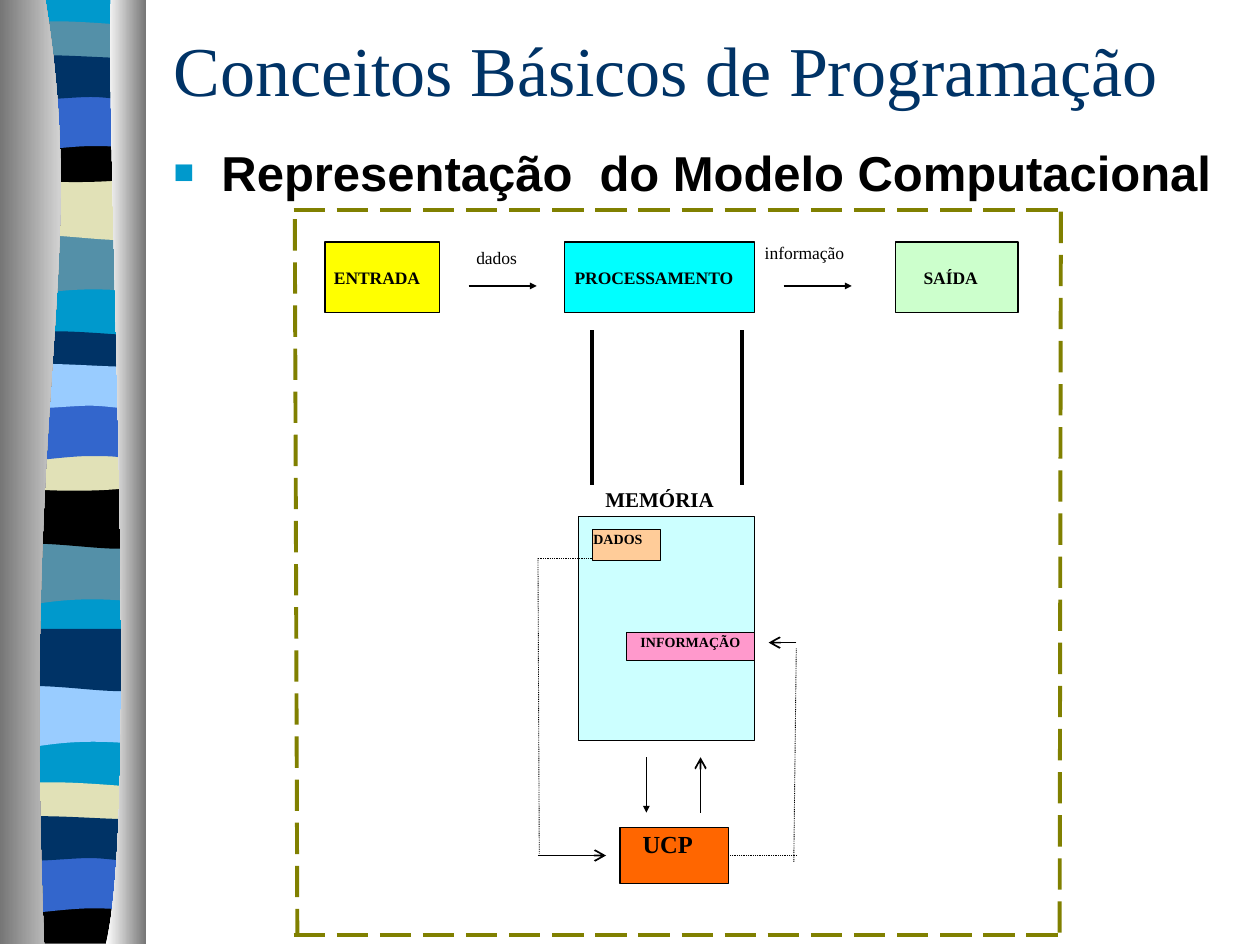
import pptx
import pptx.dml.color
import pptx.enum.dml
import pptx.enum.shapes
import pptx.enum.text
import pptx.oxml
import pptx.oxml.ns
import pptx.util
from lxml import etree

Inches, Pt = pptx.util.Inches, pptx.util.Pt
ALIGN = pptx.enum.text.PP_ALIGN
ANCHOR = pptx.enum.text.MSO_ANCHOR
DASH = pptx.enum.dml.MSO_LINE
SERIF = "Times New Roman"

# Stripe outlines: a start point, then segments of one point (line) or three (curve)
BASE = [(1.08, 0), [(1.08, 7.47)], [(0, 7.47)], [(0, 0)]]
SWELL = [(1.08, 0), [(1.08, 0.47)], [(0.33, 0.39), (0.18, 0.55), (0, 0.47)], [(0, 0)]]
DIP = [(1.08, 0), [(1.08, 0.47)], [(0.9, 0.55), (0.33, 0.41), (0, 0.47)], [(0, 0)]]
THIN = [(1.08, 0.05), [(1.08, 0.29)], [(0.9, 0.33), (0.18, 0.33), (0, 0.29)],
        [(0, 0.05)], [(0.06, 0), (0.23, 0.01), (0.41, 0.01)],
        [(0.59, 0.01), (0.94, 0.04), (1.08, 0.05)]]
BOWL = [(1.08, 0), [(1.08, 0.32)], [(0.9, 0.38), (0.18, 0.38), (0, 0.32)],
        [(0, 0)], [(0.66, 0.05), (0.85, 0), (1.08, 0)]]
ARCH = [(1.08, 0), [(1.08, 0.47)], [(0.91, 0.42), (0.84, 0.42), (0.66, 0.42)],
        [(0.48, 0.42), (0.16, 0.47), (0, 0.47)], [(0, 0)]]
RIPPLE = [(1.08, 0.05), [(1.08, 0.36)], [(1.01, 0.41), (0.84, 0.36), (0.66, 0.36)],
          [(0.48, 0.36), (0.11, 0.41), (0, 0.36)], [(0, 0.05)],
          [(0.15, 0), (0.73, 0.05), (0.91, 0.05)],
          [(1.09, 0.05), (1.04, 0.05), (1.08, 0.05)]]
FOOT = [(1.08, 0), [(1.08, 0.37)], [(0, 0.37)], [(0, 0)],
        [(0.66, 0.05), (0.85, 0), (1.08, 0)]]

STRIPES = [  # outline, left, top, colour
    (BASE, 0.06, 0, "0099CC"),
    (SWELL, 0.06, 1.85, "5490A8"),
    (DIP, 0.06, 1.41, "E1E1B7"),
    (THIN, 0.06, 0.16, "5490A8"),
    (BOWL, 0.06, 1.08, "000000"),
    (ARCH, 0.06, 0.74, "3366CC"),
    (RIPPLE, 0.06, 0.41, "003366"),
    (SWELL, 0.05, 4.31, "5490A8"),
    (DIP, 0.05, 3.86, "000000"),
    (THIN, 0.05, 2.62, "003366"),
    (BOWL, 0.05, 3.53, "E1E1B7"),
    (ARCH, 0.05, 3.2, "3366CC"),
    (RIPPLE, 0.05, 2.86, "99CCFF"),
    (SWELL, 0.06, 5.44, "99CCFF"),
    (DIP, 0.06, 4.99, "003366"),
    (THIN, 0.05, 6.2, "E1E1B7"),
    (FOOT, 0.05, 7.12, "000000"),
    (ARCH, 0.05, 6.79, "3366CC"),
    (RIPPLE, 0.05, 6.45, "003366"),
]
LEFT_COLUMN = [(0.36, 0), [(0.71, 2.16), (0.17, 2.96), (0.35, 7.49)],
               [(0, 7.49)], [(0, 0)]]
RIGHT_COLUMN = [(0.88, 0), [(0.84, 1.25), (1.11, 6.46), (0.84, 7.49)],
                [(1.16, 7.49)], [(1.16, 0)]]


def rgb(value):
    return pptx.dml.color.RGBColor.from_string(value)


def add_outline(slide, outline, left=0, top=0):
    """Closed freeform whose three-point segments become cubic curves."""
    def place(point):
        return (point[0] + left) * 100, (point[1] + top) * 100

    start, *segments = outline
    builder = slide.shapes.build_freeform(*place(start), scale=Inches(1) / 100)
    builder.add_line_segments([place(p) for segment in segments for p in segment])
    shape = builder.convert_to_shape()
    qn = pptx.oxml.ns.qn
    lines = iter(list(shape._element.iter(qn("a:lnTo"))))
    for segment in segments:
        group = [next(lines) for _ in segment]
        if len(group) == 3:
            cubic = etree.Element(qn("a:cubicBezTo"))
            group[0].addprevious(cubic)
            for line in group:
                cubic.append(line[0])
                line.getparent().remove(line)
    shape.shadow.inherit = False
    shape.line.fill.background()
    return shape


def add_border(slide):
    for outline, left, top, color in STRIPES:
        fill = add_outline(slide, outline, left, top).fill
        fill.solid()
        fill.fore_color.rgb = rgb(color)
    for outline, colors in ((LEFT_COLUMN, ("767676", "FFFFFF")),
                            (RIGHT_COLUMN, ("FFFFFF", "767676"))):
        fill = add_outline(slide, outline).fill
        fill.gradient()
        fill.gradient_angle = 0
        for stop, color in zip(fill.gradient_stops, colors):
            stop.color.rgb = rgb(color)


def set_text(shape, text, size, color="000000", bold=True, font=SERIF,
             align=ALIGN.LEFT, anchor=ANCHOR.TOP, margins=(0.1, 0.05), indent=None):
    frame = shape.text_frame
    frame.text = text
    frame.word_wrap = True
    frame.vertical_anchor = anchor
    frame.margin_left = Inches(margins[0] if indent is None else indent)
    frame.margin_right = Inches(margins[0])
    frame.margin_top = frame.margin_bottom = Inches(margins[1])
    paragraph = frame.paragraphs[0]
    paragraph.alignment = align
    run_font = paragraph.runs[0].font
    run_font.name, run_font.size, run_font.bold = font, Pt(size), bold
    run_font.color.rgb = rgb(color)
    return paragraph


def add_heading(slide, place, text, size, **style):
    box = slide.shapes.add_textbox(*map(Inches, place))
    return set_text(box, text, size, **style)


def add_bullet(paragraph, color):
    paragraph.space_before = Pt(7)
    properties = paragraph._p.get_or_add_pPr()
    properties.set("marL", str(Inches(0.38)))
    properties.set("indent", str(-Inches(0.38)))
    namespace = pptx.oxml.ns.nsdecls("a")
    for xml in (f'<a:buClr {namespace}><a:srgbClr val="{color}"/></a:buClr>',
                f'<a:buSzPct {namespace} val="70000"/>',
                f'<a:buFont {namespace} typeface="Arial"/>',
                f'<a:buChar {namespace} char="■"/>'):
        properties.append(pptx.oxml.parse_xml(xml))


def add_box(slide, place, fill, line="000000", text=None, size=10, **style):
    rectangle = pptx.enum.shapes.MSO_SHAPE.RECTANGLE
    shape = slide.shapes.add_shape(rectangle, *map(Inches, place))
    shape.shadow.inherit = False
    shape.fill.solid()
    shape.fill.fore_color.rgb = rgb(fill)
    if line:
        shape.line.color.rgb = rgb(line)
        shape.line.width = Pt(0.75)
    else:
        shape.line.fill.background()
    if text:
        set_text(shape, text, size, **{"margins": (0.01, 0.01), **style})
    return shape


def add_line(slide, start, end, width, color="000000", dash=None, head=None):
    straight = pptx.enum.shapes.MSO_CONNECTOR.STRAIGHT
    connector = slide.shapes.add_connector(straight, *map(Inches, start + end))
    connector.line.color.rgb = rgb(color)
    connector.line.width = Pt(width)
    if dash:
        connector.line.dash_style = dash
    if head:
        tail = etree.SubElement(connector.line._get_or_add_ln(),
                                pptx.oxml.ns.qn("a:tailEnd"), type=head)
        if head == "triangle":
            tail.set("w", "sm")
            tail.set("len", "sm")
    etree.SubElement(connector._element.spPr, pptx.oxml.ns.qn("a:effectLst"))
    return connector


def add_model(slide):
    add_box(slide, (4.64, 3.81, 1.19, 0.44), "FFFFFF", None, "MEMÓRIA", 12,
            align=ALIGN.CENTER, margins=(0.1, 0.05))
    for left, width, fill, text, indent in (
            (2.58, 0.91, "FFFF00", "ENTRADA", 0.07),
            (4.48, 1.51, "00FFFF", "PROCESSAMENTO", 0.08),
            (7.11, 0.97, "CCFFCC", "SAÍDA", 0.22)):
        add_box(slide, (left, 1.92, width, 0.56), fill, text=text,
                anchor=ANCHOR.MIDDLE, indent=indent)
    for left in (3.72, 6.22):
        add_line(slide, (left, 2.27), (left + 0.54, 2.27), 0.75, head="triangle")

    add_box(slide, (4.59, 4.1, 1.4, 1.78), "CCFFFF")
    add_box(slide, (4.7, 4.2, 0.54, 0.25), "FFCC99", text="DADOS", size=8)
    add_box(slide, (4.97, 5.02, 1.02, 0.22), "FF99CC", text="INFORMAÇÃO", size=8,
            align=ALIGN.CENTER)
    processor = add_box(slide, (4.92, 6.57, 0.86, 0.44), "FF6600", text="UCP",
                        size=14, indent=0.18)

    add_line(slide, (5.13, 6.01), (5.13, 6.45), 0.75, head="triangle")
    for start, end in (((5.56, 6.45), (5.56, 6.01)),
                       ((4.27, 6.79), (4.81, 6.79)),
                       ((6.32, 5.1), (6.1, 5.1))):
        add_line(slide, start, end, 1, head="arrow")
    for start, end in (((4.7, 4.43), (4.27, 4.43)),
                       ((4.27, 4.43), (4.28, 6.78)),
                       ((6.3, 6.84), (6.32, 5.14))):
        add_line(slide, start, end, 0.5, dash=DASH.ROUND_DOT)
    output = add_line(slide, (5.78, 6.79), (6.32, 6.79), 0.5, dash=DASH.ROUND_DOT)
    output.begin_connect(processor, 3)
    for x in (5.89, 4.7):
        add_line(slide, (x, 2.62), (x, 3.85), 2)

    for place, text in (((3.77, 1.95, 0.39, 0.22), "dados"),
                        ((6.06, 1.91, 0.83, 0.29), "informação")):
        add_box(slide, place, "FFFFFF", "FFFFFF", text, bold=False)


def main():
    presentation = pptx.Presentation()
    presentation.slide_width, presentation.slide_height = Inches(10), Inches(7.5)
    slide = presentation.slides.add_slide(presentation.slide_layouts[6])
    add_border(slide)
    add_heading(slide, (1.28, 0.33, 8.5, 0.42), "Conceitos Básicos de Programação", 40,
                color="003366", bold=False, anchor=ANCHOR.MIDDLE)
    topic = add_heading(slide, (1.28, 1.08, 8.5, 0.58),
                        "Representação  do Modelo Computacional", 28, font="Arial")
    add_bullet(topic, "0099CC")
    add_model(slide)
    for start, end in (((2.33, 1.67), (8.42, 1.67)), ((2.33, 7.42), (8.42, 7.42)),
                       ((8.42, 1.68), (8.41, 7.42)), ((2.34, 1.74), (2.36, 7.42))):
        add_line(slide, start, end, 2.25, "808000", DASH.LONG_DASH)
    presentation.save("out.pptx")


if __name__ == "__main__":
    main()
